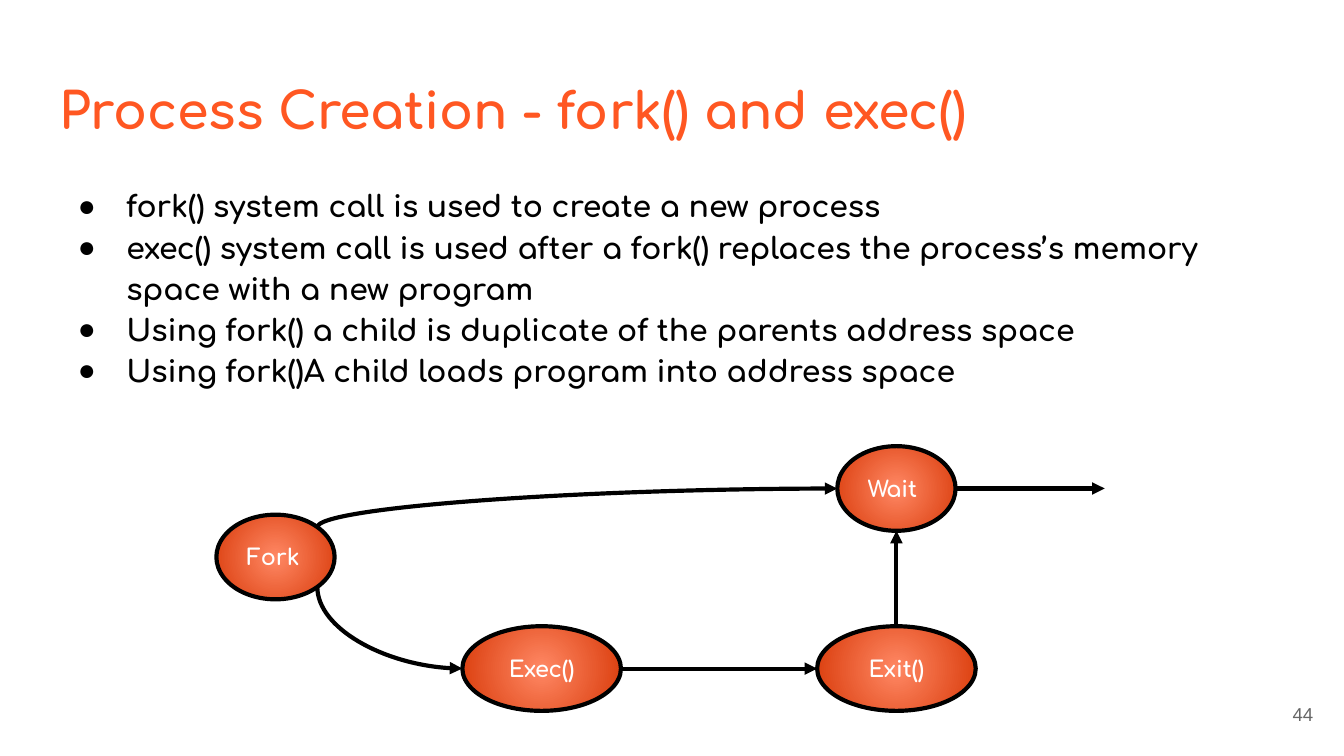
import math
from lxml import etree
from pptx import Presentation, util as u
from pptx.dml.color import RGBColor
from pptx.enum import shapes, text
from pptx.oxml.ns import qn

COLORS = {"title": "FF5722", "ink": "000000", "number": "666666",
          "label": "FFFFFF", "center": "FF8864", "edge": "D83908"}
FONT = "Comfortaa"
TITLE = "Process Creation - fork() and exec()"
BULLETS = [
    "fork() system call is used to create a new process",
    "exec() system call is used after a fork() replaces the process’s memory space with a new program",
    "Using fork() a child is duplicate of the parents address space",
    "Using fork()A child loads program into address space",
]
LEFT, CENTER, RIGHT = text.PP_ALIGN.LEFT, text.PP_ALIGN.CENTER, text.PP_ALIGN.RIGHT
TOP, MIDDLE = text.MSO_ANCHOR.TOP, text.MSO_ANCHOR.MIDDLE
NODE_HEIGHT = 0.63
NODES = {
    "Fork": (1.61, 3.83, 0.88, LEFT),
    "Wait": (6.23, 3.32, 0.88, LEFT),
    "Exec()": (3.44, 4.66, 1.18, CENTER),
    "Exit()": (6.08, 4.66, 1.18, CENTER),
}
CURVES = [("Fork", -45, "Wait", 180), ("Fork", 45, "Exec()", 180)]
STRAIGHTS = [("Exec()", 0, "Exit()", 180), ("Exit()", -90, "Wait", 90)]
EXIT_LENGTH = 1.11


def color(name):
    return RGBColor.from_string(COLORS[name])


def place(box, left, top, width, height):
    box.left, box.top = u.Inches(left), u.Inches(top)
    box.width, box.height = u.Inches(width), u.Inches(height)


def write(box, lines, size, ink, align=LEFT, anchor=TOP, font=FONT, bold=True):
    frame = box.text_frame
    frame.text = "\n".join(lines)
    frame.word_wrap = True
    frame.auto_size = text.MSO_AUTO_SIZE.NONE
    frame.vertical_anchor = anchor
    frame.margin_left = frame.margin_right = u.Inches(0.1)
    frame.margin_top = frame.margin_bottom = u.Inches(0.1)
    for para in frame.paragraphs:
        para.alignment = align
        para.space_before = u.Pt(0)
        for span in para.runs:
            span.font.name, span.font.size, span.font.bold = font, u.Pt(size), bold
            span.font.color.rgb = color(ink)


def add_bullet(para):
    para.line_spacing = 1.15
    props = para._p.get_or_add_pPr()
    props.set("marL", str(u.Inches(0.5)))
    props.set("indent", str(u.Inches(-0.36)))
    tint = etree.SubElement(props, qn("a:buClr"))
    etree.SubElement(tint, qn("a:srgbClr"), val=COLORS["ink"])
    etree.SubElement(props, qn("a:buFont"), typeface="Arial")
    etree.SubElement(props, qn("a:buChar"), char="●")


def add_node(page, name):
    left, top, width, align = NODES[name]
    node = page.shapes.add_shape(shapes.MSO_SHAPE.OVAL, 0, 0, 0, 0)
    place(node, left, top, width, NODE_HEIGHT)
    node.shadow.inherit = False
    node.line.color.rgb = color("ink")
    node.line.width = u.Pt(2.25)
    node.fill.gradient()
    for stop, tint in zip(node.fill.gradient_stops, ("center", "edge")):
        stop.color.rgb = color(tint)
    gradient = node._element.spPr.find(qn("a:gradFill"))
    gradient.remove(gradient.find(qn("a:lin")))
    radial = etree.SubElement(gradient, qn("a:path"), path="circle")
    etree.SubElement(radial, qn("a:fillToRect"), l="50000", t="50000", r="50000", b="50000")
    write(node, [name], 12, "label", align, MIDDLE)


def rim(name, degrees):
    left, top, width, _ = NODES[name]
    angle = math.radians(degrees)
    return (left + width / 2 * (1 + math.cos(angle)),
            top + NODE_HEIGHT / 2 * (1 + math.sin(angle)))


def add_arrow(page, start, end, kind=shapes.MSO_CONNECTOR.STRAIGHT):
    arrow = page.shapes.add_connector(kind, *(u.Inches(value) for value in start + end))
    arrow.line.color.rgb = color("ink")
    arrow.line.width = u.Pt(2.25)
    etree.SubElement(arrow.line._get_or_add_ln(), qn("a:tailEnd"), type="triangle")
    etree.SubElement(arrow._element.spPr, qn("a:effectLst"))
    return arrow


def add_curve(page, start, end):
    across, down = end[0] - start[0], end[1] - start[1]
    width, height = abs(down), across
    left = (start[0] + end[0] - width) / 2
    top = (start[1] + end[1] - height) / 2
    curve = add_arrow(page, (left, top), (left + width, top + height),
                      shapes.MSO_CONNECTOR.CURVE)
    props = curve._element.spPr
    props.find(qn("a:prstGeom")).set("prst", "curvedConnector2")
    frame = props.find(qn("a:xfrm"))
    frame.set("rot", str(270 * 60000))
    if down > 0:
        frame.set("flipH", "1")


def main():
    deck = Presentation()
    deck.slide_width = u.Inches(10)
    deck.slide_height = deck.slide_width * 9 // 16
    page = deck.slides.add_slide(deck.slide_layouts[1])

    title, body = page.placeholders
    place(title, 0.34, 0.49, 9.32, 0.63)
    write(title, [TITLE], 27, "title")
    place(body, 0.34, 1.26, 9.32, 3.74)
    write(body, BULLETS, 16, "ink")
    for para in body.text_frame.paragraphs:
        add_bullet(para)

    number = page.shapes.add_textbox(0, 0, 0, 0)
    place(number, 9.27, 5.1, 0.6, 0.43)
    write(number, ["44"], 10, "number", RIGHT, MIDDLE, "Arial", False)

    for name in NODES:
        add_node(page, name)
    for source, leave, target, arrive in CURVES:
        add_curve(page, rim(source, leave), rim(target, arrive))
    for source, leave, target, arrive in STRAIGHTS:
        add_arrow(page, rim(source, leave), rim(target, arrive))
    start = rim("Wait", 0)
    add_arrow(page, start, (start[0] + EXIT_LENGTH, start[1]))

    deck.save("out.pptx")


if __name__ == "__main__":
    main()
